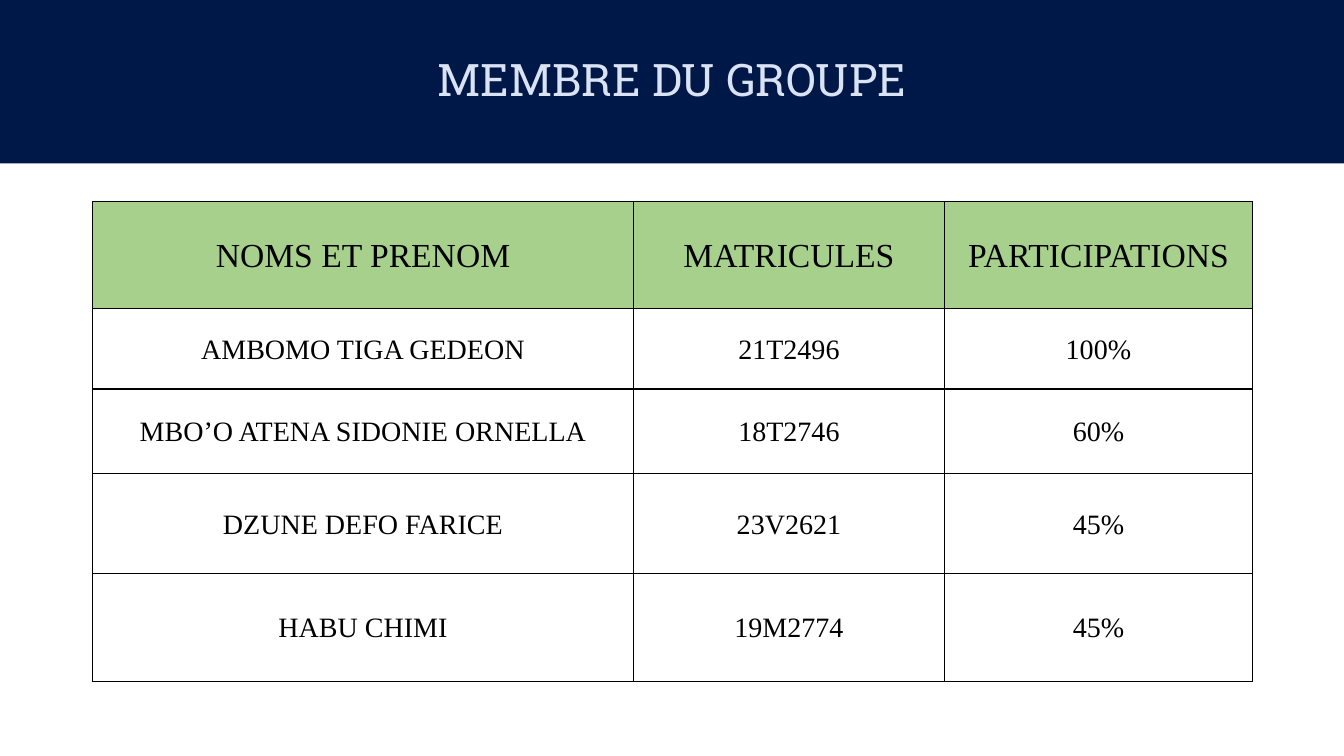
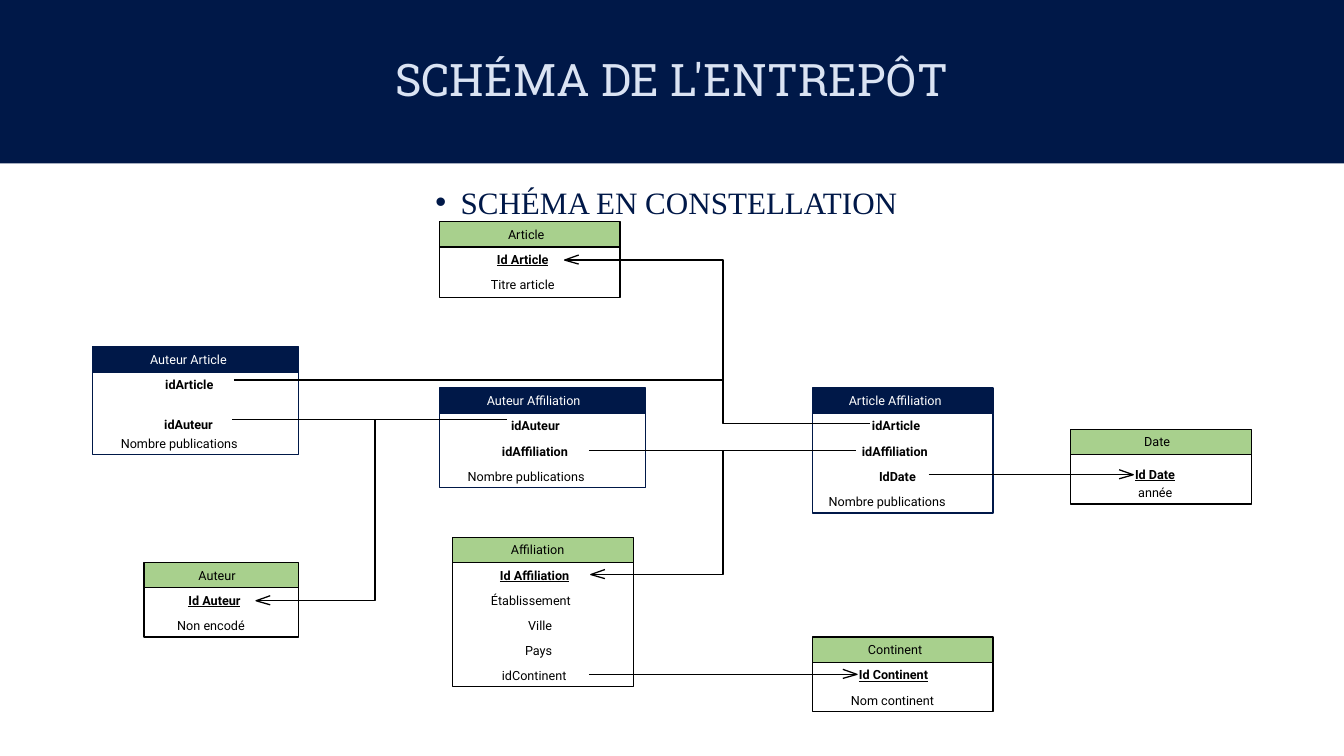
from lxml import etree
from pptx import Presentation, util as u
from pptx.dml.color import RGBColor
from pptx.enum import shapes, text as t
from pptx.oxml import ns

PX = 9144  # 100 px to the inch
LINE = u.Pt(0.92)
COLORS = {
    "navy": "001848",
    "pale": "DAE3F3",
    "green": "A8D08D",
    "black": "000000",
    "white": "FFFFFF",
}
RGB = {name: RGBColor.from_string(value) for name, value in COLORS.items()}


def write(frame, words, font="Roboto", size=9, color="black", bold=False,
          underline=False, align=t.PP_ALIGN.LEFT, spacing=1.0):
    """Put one formatted paragraph in a text frame and return it."""
    frame.word_wrap = True
    para = frame.paragraphs[0]
    para.alignment = align
    para.line_spacing = spacing
    span = para.add_run()
    span.text = words
    span.font.name = font
    span.font.size = u.Pt(size)
    span.font.color.rgb = RGB[color]
    span.font.bold = bold
    span.font.underline = underline
    return para


def trace(page, points):
    """Draw an open black line through the points, given in px."""
    builder = page.shapes.build_freeform(*points[0], scale=PX)
    builder.add_line_segments(points[1:], close=False)
    outline = builder.convert_to_shape()
    outline.shadow.inherit = False
    outline.fill.background()
    outline.line.color.rgb = RGB["black"]
    outline.line.width = LINE


deck = Presentation()
deck.slide_width, deck.slide_height = 1333 * PX, 750 * PX

# Pages with their title band
pages = []
for heading in ("MEMBRE DU GROUPE", "SCHÉMA DE L'ENTREPÔT"):
    page = deck.slides.add_slide(deck.slide_layouts[5])
    band = page.shapes.title
    band.left, band.top, band.width, band.height = 0, 0, deck.slide_width, 162 * PX
    band.fill.solid()
    band.fill.fore_color.rgb = RGB["navy"]
    band.text_frame.vertical_anchor = t.MSO_ANCHOR.MIDDLE
    write(band.text_frame, heading, font="Roboto Slab", size=32, color="pale",
          align=t.PP_ALIGN.CENTER, spacing=0.9)
    pages.append(page)
members_page, schema_page = pages

# Members table
MEMBERS = [
    ("NOMS ET PRENOM", "MATRICULES", "PARTICIPATIONS"),
    ("AMBOMO TIGA GEDEON", "21T2496", "100%"),
    ("MBO’O ATENA SIDONIE ORNELLA", "18T2746", "60%"),
    ("DZUNE DEFO FARICE", "23V2621", "45%"),
    ("HABU CHIMI", "19M2774", "45%"),
]
COLUMN_WIDTHS = (536, 309, 305)
ROW_HEIGHTS = (106, 80, 84, 99, 107)
table = members_page.shapes.add_table(
    len(MEMBERS), len(COLUMN_WIDTHS), 92 * PX, 200 * PX,
    sum(COLUMN_WIDTHS) * PX, sum(ROW_HEIGHTS) * PX).table
table.first_row = table.horz_banding = False
for column, width in zip(table.columns, COLUMN_WIDTHS):
    column.width = width * PX
for row_index, (row, height) in enumerate(zip(table.rows, ROW_HEIGHTS)):
    row.height = height * PX
    is_header = row_index == 0
    for cell, words in zip(row.cells, MEMBERS[row_index]):
        cell.margin_left = cell.margin_right = 7 * PX
        cell.margin_top = cell.margin_bottom = 0
        cell.vertical_anchor = t.MSO_ANCHOR.MIDDLE
        properties = cell._tc.get_or_add_tcPr()
        for side in ("lnL", "lnR", "lnT", "lnB"):
            border = etree.SubElement(properties, ns.qn("a:" + side), w=str(u.Pt(1)))
            paint = etree.SubElement(border, ns.qn("a:solidFill"))
            etree.SubElement(paint, ns.qn("a:srgbClr"), val=COLORS["black"])
        cell.fill.solid()
        cell.fill.fore_color.rgb = RGB["green" if is_header else "white"]
        write(cell.text_frame, words, font="Times New Roman",
              size=24 if is_header else 20, align=t.PP_ALIGN.CENTER, spacing=1.07)

# Bulleted subtitle
subtitle = schema_page.shapes.add_textbox(92 * PX, 184 * PX, 1138 * PX, 40 * PX)
para = write(subtitle.text_frame, "SCHÉMA EN CONSTELLATION", font="Times New Roman",
             size=22.2, color="navy", align=t.PP_ALIGN.CENTER, spacing=0.8)
properties = para._p.get_or_add_pPr()
properties.set("marL", str(25 * PX))
properties.set("indent", str(-25 * PX))
etree.SubElement(properties, ns.qn("a:buFont"), typeface="Arial")
etree.SubElement(properties, ns.qn("a:buChar"), char="•")

# Entities: name, is fact, left, top, width, height, label widths, row offsets
ROW = 25
LABEL_HEIGHT = 22
EVEN = [ROW * step for step in range(1, 6)]
ENTITIES = [
    ("Auteur Article", True, 92, 344, 204, 107,
     [("Auteur Article", 109), ("idArticle", 80), ("idAuteur", 81),
      ("Nombre publications", 167)], [25, 65, 83]),
    ("Auteur Affiliation", True, 436, 385, 204, 99,
     [("Auteur Affiliation", 130), ("idAuteur", 81), ("idAffiliation", 100),
      ("Nombre publications", 167)], EVEN),
    ("Article Affiliation", True, 806, 385, 179, 124,
     [("Article Affiliation", 127), ("idArticle", 80), ("idAffiliation", 100),
      ("IdDate", 66), ("Nombre publications", 167)], EVEN),
    ("Auteur", False, 143, 558, 153, 74,
     [("Auteur", 65), ("Id Auteur", 85), ("Non encodé", 106)], EVEN),
    ("Affiliation", False, 449, 533, 179, 148,
     [("Affiliation", 83), ("Id Affiliation", 104), ("Établissement", 122),
      ("Ville", 49), ("Pays", 54), ("idContinent", 100)], EVEN),
    ("Continent", False, 806, 632, 179, 74,
     [("Continent", 88), ("Id Continent", 106), ("Nom continent", 122)], EVEN),
    ("Article", False, 436, 220, 179, 75,
     [("Article", 62), ("Id Article", 84), ("Titre article", 97)], EVEN),
    ("Date", False, 1062, 426, 179, 74,
     [("Date", 53), ("Id Date", 70), ("année", 65)], [32, 50]),
]
for name, is_fact, left, top, width, height, labels, offsets in ENTITIES:
    # Header, then the open body below it
    for box_top, box_height in ((top, ROW), (top + ROW, height - ROW)):
        box = schema_page.shapes.add_shape(
            shapes.MSO_SHAPE.RECTANGLE, left * PX, box_top * PX,
            width * PX, box_height * PX)
        box.shadow.inherit = False
        box.line.color.rgb = RGB["navy" if is_fact else "black"]
        box.line.width = LINE
        if box_top == top:
            box.fill.solid()
            box.fill.fore_color.rgb = RGB["navy" if is_fact else "green"]
        else:
            box.fill.background()
    # Labels, centred on the entity
    for (words, label_width), offset in zip(labels, [0, *offsets]):
        label = schema_page.shapes.add_textbox(
            (left + (width - label_width) // 2) * PX, (top + offset) * PX,
            label_width * PX, LABEL_HEIGHT * PX)
        is_key = words.startswith("Id ")
        is_reference = is_fact and words.lower().startswith("id")
        write(label.text_frame, words, bold=is_key or is_reference, underline=is_key,
              color="white" if is_fact and offset == 0 else "black")

# Straight links: start x, end x, y
for start, end, level in [(232, 717, 377), (372, 503, 416), (584, 717, 447),
                          (921, 1123, 471), (584, 848, 669)]:
    link = schema_page.shapes.add_connector(
        shapes.MSO_CONNECTOR.STRAIGHT, start * PX, level * PX, end * PX, level * PX)
    link.line.color.rgb = RGB["black"]
    link.line.width = LINE
    etree.SubElement(link._element.spPr, ns.qn("a:effectLst"))

# Bent links
for points in [
    [(255, 596), (372, 596), (372, 416), (230, 416)],
    [(562, 258), (717, 258), (717, 420), (863, 420)],
    [(587, 570), (717, 570), (717, 447), (849, 447)],
]:
    trace(schema_page, points)

# Open arrowheads: tip x, tip y, horizontal reach of the barbs
for x, y, reach in [(254, 596, 14), (560, 258, 14), (586, 570, 14),
                    (1124, 471, -14), (850, 669, -14)]:
    trace(schema_page, [(x + reach, y - 5), (x, y), (x + reach, y + 4)])

deck.save("out.pptx")
